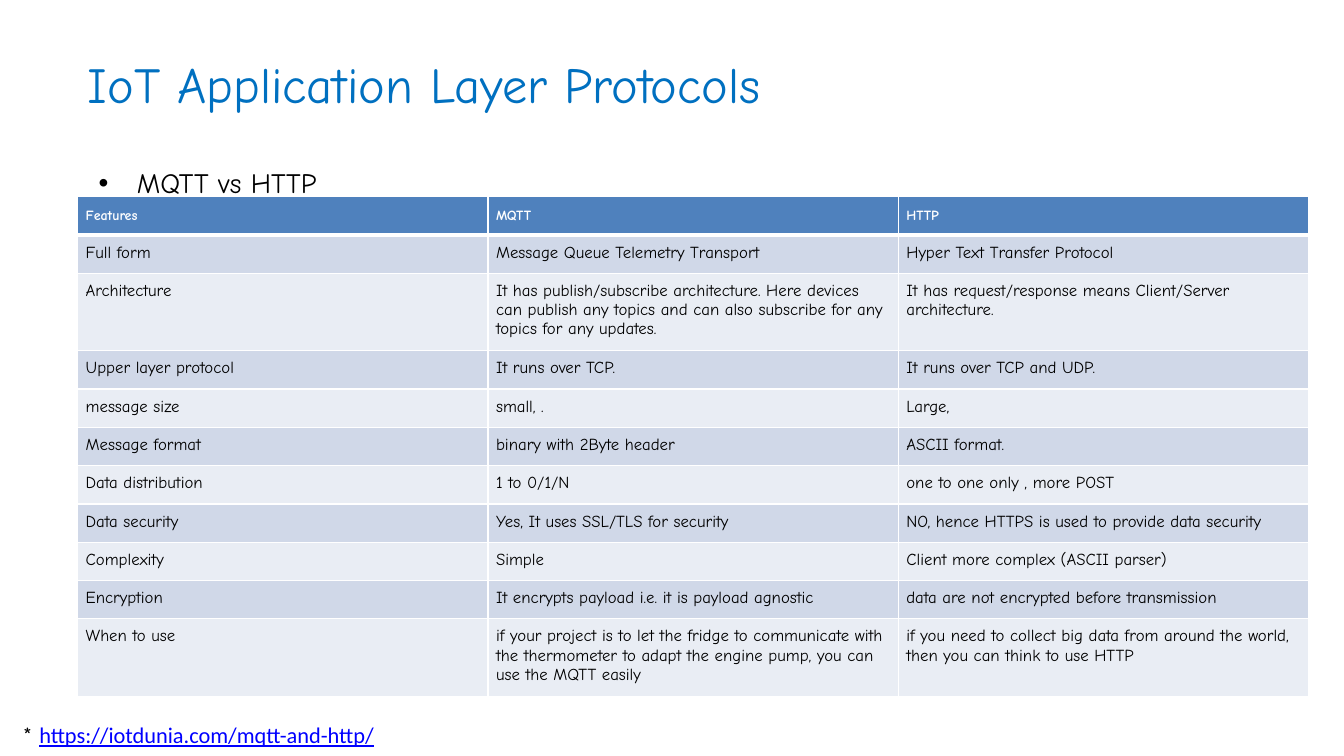
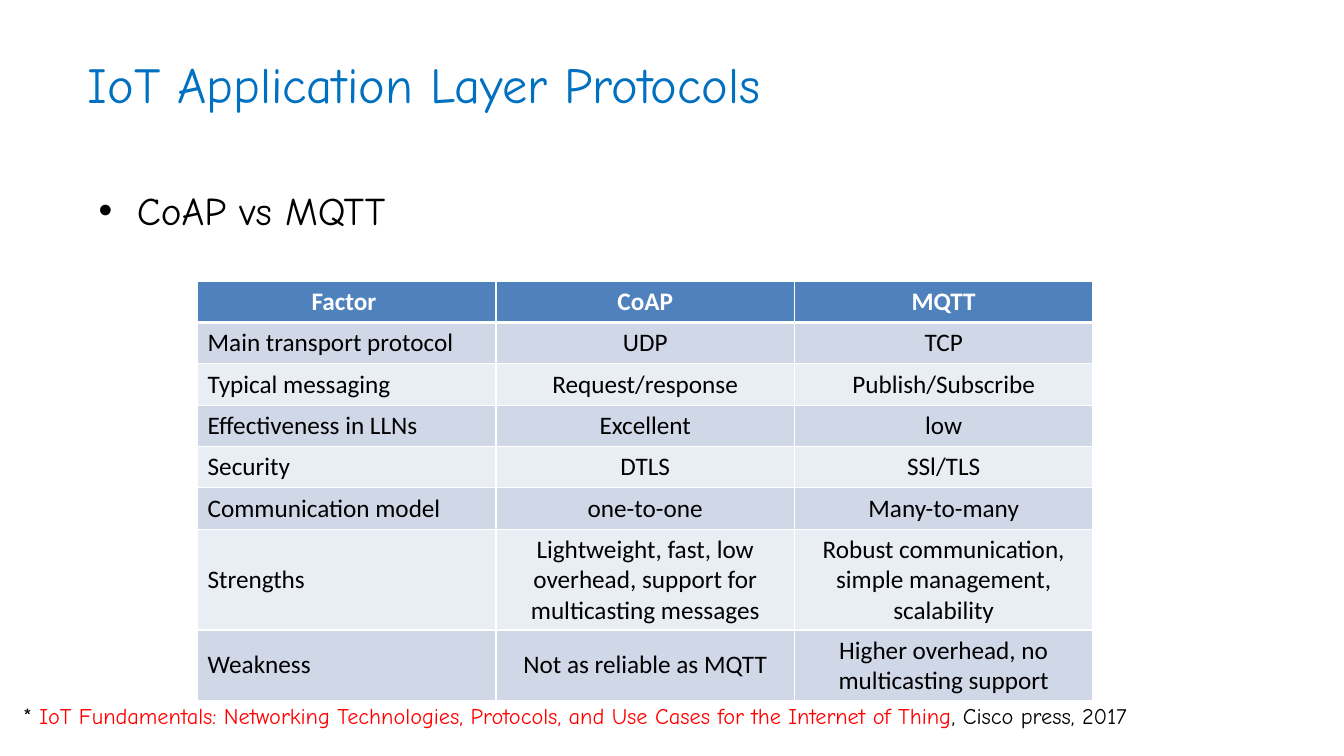
from dataclasses import dataclass

from lxml.etree import SubElement
from pptx import Presentation
from pptx.dml.color import RGBColor
from pptx.enum.text import MSO_ANCHOR as Anchor, MSO_AUTO_SIZE as AutoSize, PP_ALIGN as Align
from pptx.oxml import parse_xml
from pptx.oxml.ns import nsdecls, qn
from pptx.util import Inches, Pt


@dataclass(frozen=True)
class Theme:
    title: str = "0070C0"
    text: str = "000000"
    link: str = "0000FF"
    cited: str = "FF0000"
    white: str = "FFFFFF"
    header: str = "4F81BD"
    bands: tuple[str, str] = ("D0D8E8", "E9EDF4")
    hand: str = "Comic Neue"
    plain: str = "Calibri"
    title_size: float = 36
    note_size: float = 16
    line: float = 1
    header_line: float = 3


T = Theme()


@dataclass(frozen=True)
class Span:
    text: str
    color: str = T.text
    font: str = T.hand
    underline: bool = False


@dataclass(frozen=True)
class TableStyle:
    font: str
    header_size: float
    body_size: float
    margins: tuple[float, float]
    value_align: Align
    header_align: Align
    body_anchor: Anchor


@dataclass(frozen=True)
class Comparison:
    bullet: str
    bullet_top: float
    bullet_size: float
    left: float
    top: float
    col_width: float
    row_heights: list[float]
    rows: list[tuple[str, str, str]]
    style: TableStyle
    note_top: float
    note: list[Span]


def add_run(p, text: str, *, size: float, font: str = T.hand, color: str = T.text,
            bold: bool = False, underline: bool = False) -> None:
    r = p.add_run()
    r.text = text
    r.font.size = Pt(size)
    r.font.name = font
    r.font.bold = bold
    r.font.underline = underline
    r.font.color.rgb = RGBColor.from_string(color)


def add_title(slide, text: str) -> None:
    sp = slide.shapes.title
    sp.left, sp.top, sp.width, sp.height = map(Inches, (0.77, 0.41, 11.8, 0.84))
    tf = sp.text_frame
    tf.auto_size = AutoSize.NONE
    tf.vertical_anchor = Anchor.MIDDLE
    p = tf.paragraphs[0]
    p.alignment = Align.LEFT
    add_run(p, text, size=T.title_size, color=T.title)


def add_text_box(slide, left: float, top: float, width: float, height: float):
    sp = slide.shapes.add_textbox(*map(Inches, (left, top, width, height)))
    sp.text_frame.word_wrap = True
    return sp.text_frame.paragraphs[0]


def add_bullet(slide, text: str, top: float, size: float) -> None:
    p = add_text_box(slide, 0.88, top, 11.8, 6.92 - top)
    pPr = p._p.get_or_add_pPr()
    pPr.set("marL", str(Inches(0.38)))
    pPr.set("indent", str(Inches(-0.38)))
    SubElement(pPr, qn("a:buFont"), typeface="Arial")
    SubElement(pPr, qn("a:buChar"), char="•")
    p.line_spacing = 1.5
    add_run(p, text, size=size)


def add_note(slide, spans: list[Span], top: float) -> None:
    p = add_text_box(slide, 0.13, top, 12.55, 0.37)
    for span in [Span("* "), *spans]:
        add_run(p, span.text, size=T.note_size, font=span.font, color=span.color,
                underline=span.underline)


def set_borders(cell, top: float, bottom: float) -> None:
    tcPr = cell._tc.get_or_add_tcPr()
    edges = {"lnL": T.line, "lnR": T.line, "lnT": top, "lnB": bottom}
    for i, (tag, width) in enumerate(edges.items()):
        tcPr.insert(i, parse_xml(
            f'<a:{tag} {nsdecls("a")} w="{Pt(width)}"><a:solidFill>'
            f'<a:srgbClr val="{T.white}"/></a:solidFill></a:{tag}>'))


def format_cell(cell, text: str, row: int, col: int, style: TableStyle) -> None:
    header = row == 0
    cell.fill.solid()
    cell.fill.fore_color.rgb = RGBColor.from_string(
        T.header if header else T.bands[(row - 1) % 2])
    set_borders(cell, T.header_line if row == 1 else T.line,
                T.header_line if header else T.line)
    cell.margin_left = cell.margin_right = Inches(style.margins[0])
    cell.margin_top = cell.margin_bottom = Inches(style.margins[1])
    cell.vertical_anchor = Anchor.MIDDLE if header else style.body_anchor
    p = cell.text_frame.paragraphs[0]
    if header:
        p.alignment = style.header_align
    else:
        p.alignment = style.value_align if col else Align.LEFT
    add_run(p, text, size=style.header_size if header else style.body_size,
            font=style.font, color=T.white if header else T.text, bold=header)


def add_comparison_table(slide, c: Comparison) -> None:
    n_cols = len(c.rows[0])
    table = slide.shapes.add_table(
        len(c.rows), n_cols, Inches(c.left), Inches(c.top),
        Inches(c.col_width * n_cols), Inches(sum(c.row_heights))).table
    for column in table.columns:
        column.width = Inches(c.col_width)
    for i, (values, height) in enumerate(zip(c.rows, c.row_heights)):
        table.rows[i].height = Inches(height)
        for j, text in enumerate(values):
            format_cell(table.cell(i, j), text, i, j, c.style)


def add_comparison(prs, c: Comparison) -> None:
    slide = prs.slides.add_slide(prs.slide_layouts[5])
    add_title(slide, "IoT Application Layer Protocols")
    add_bullet(slide, c.bullet, c.bullet_top, c.bullet_size)
    add_note(slide, c.note, c.note_top)
    add_comparison_table(slide, c)


MQTT_HTTP = Comparison(
    bullet="MQTT vs HTTP", bullet_top=1.43, bullet_size=20,
    left=0.77, top=1.95, col_width=4.07,
    row_heights=[0.38, 0.38, 0.77, *[0.38] * 7, 0.77],
    rows=[
        ("Features", "MQTT", "HTTP"),
        ("Full form", "Message Queue Telemetry Transport", "Hyper Text Transfer Protocol"),
        ("Architecture",
         "It has publish/subscribe architecture. Here devices can publish any topics "
         "and can also subscribe for any topics for any updates.",
         "It has request/response means Client/Server architecture."),
        ("Upper layer protocol", "It runs over TCP.", "It runs over TCP and UDP."),
        ("message size", "small, .", "Large,"),
        ("Message format", "binary with 2Byte header", "ASCII format."),
        ("Data distribution", "1 to 0/1/N", "one to one only , more POST"),
        ("Data security", "Yes, It uses SSL/TLS for security",
         "NO, hence HTTPS is used to provide data security"),
        ("Complexity", "Simple", "Client more complex (ASCII parser)"),
        ("Encryption", "It encrypts payload i.e. it is payload agnostic",
         "data are not encrypted before transmission"),
        ("When to use",
         "if your project is to let the fridge to communicate with the thermometer "
         "to adapt the engine pump, you can use the MQTT easily",
         "if you need to collect big data from around the world, "
         "then you can think to use HTTP"),
    ],
    style=TableStyle(T.hand, 10, 12, (0.08, 0.08), Align.LEFT, Align.LEFT, Anchor.TOP),
    note_top=7.11,
    note=[Span("https://iotdunia.com/mqtt-and-http/", T.link, T.plain, True)],
)

COAP_MQTT = Comparison(
    bullet="CoAP vs MQTT", bullet_top=1.57, bullet_size=28,
    left=1.96, top=2.79, col_width=2.96,
    row_heights=[*[0.41] * 6, 1.0, 0.69],
    rows=[
        ("Factor ", "CoAP", "MQTT"),
        ("Main transport protocol", "UDP", "TCP"),
        ("Typical messaging", "Request/response", "Publish/Subscribe"),
        ("Effectiveness in LLNs", "Excellent", "low"),
        ("Security", "DTLS", "SSl/TLS"),
        ("Communication model", "one-to-one", "Many-to-many"),
        ("Strengths", "Lightweight, fast, low overhead, support for multicasting messages",
         "Robust communication, simple management, scalability"),
        ("Weakness", "Not as reliable as MQTT", "Higher overhead, no multicasting support"),
    ],
    style=TableStyle(T.plain, 18, 18, (0.1, 0.05), Align.CENTER, Align.CENTER, Anchor.MIDDLE),
    note_top=6.92,
    note=[
        Span("IoT Fundamentals: Networking Technologies, Protocols, and Use Cases "
             "for the Internet of Thing", T.cited),
        Span(", Cisco press, 2017"),
    ],
)


def main() -> None:
    prs = Presentation()
    prs.slide_width, prs.slide_height = Inches(13.33), Inches(7.5)
    for comparison in (MQTT_HTTP, COAP_MQTT):
        add_comparison(prs, comparison)
    prs.save("out.pptx")


if __name__ == "__main__":
    main()
